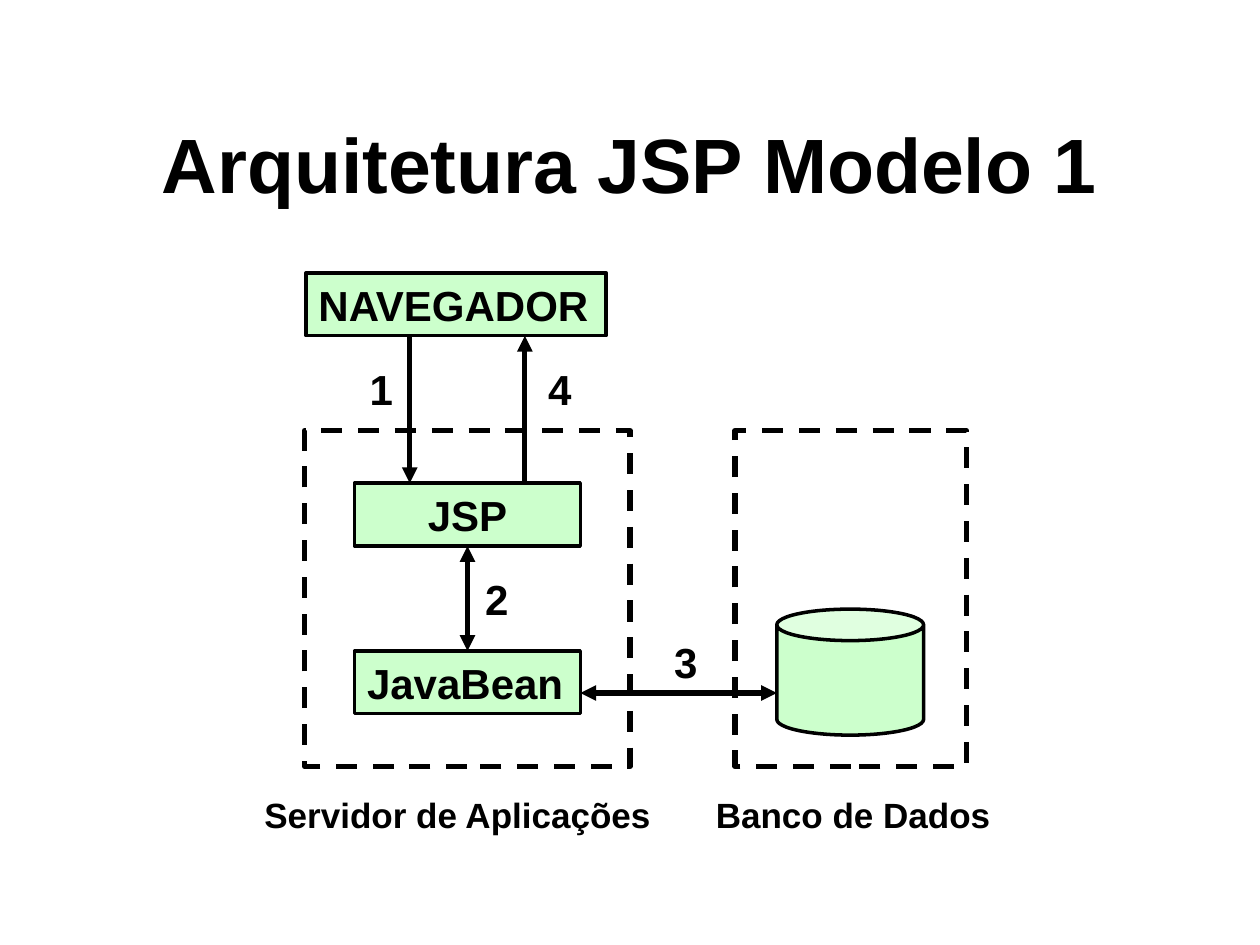
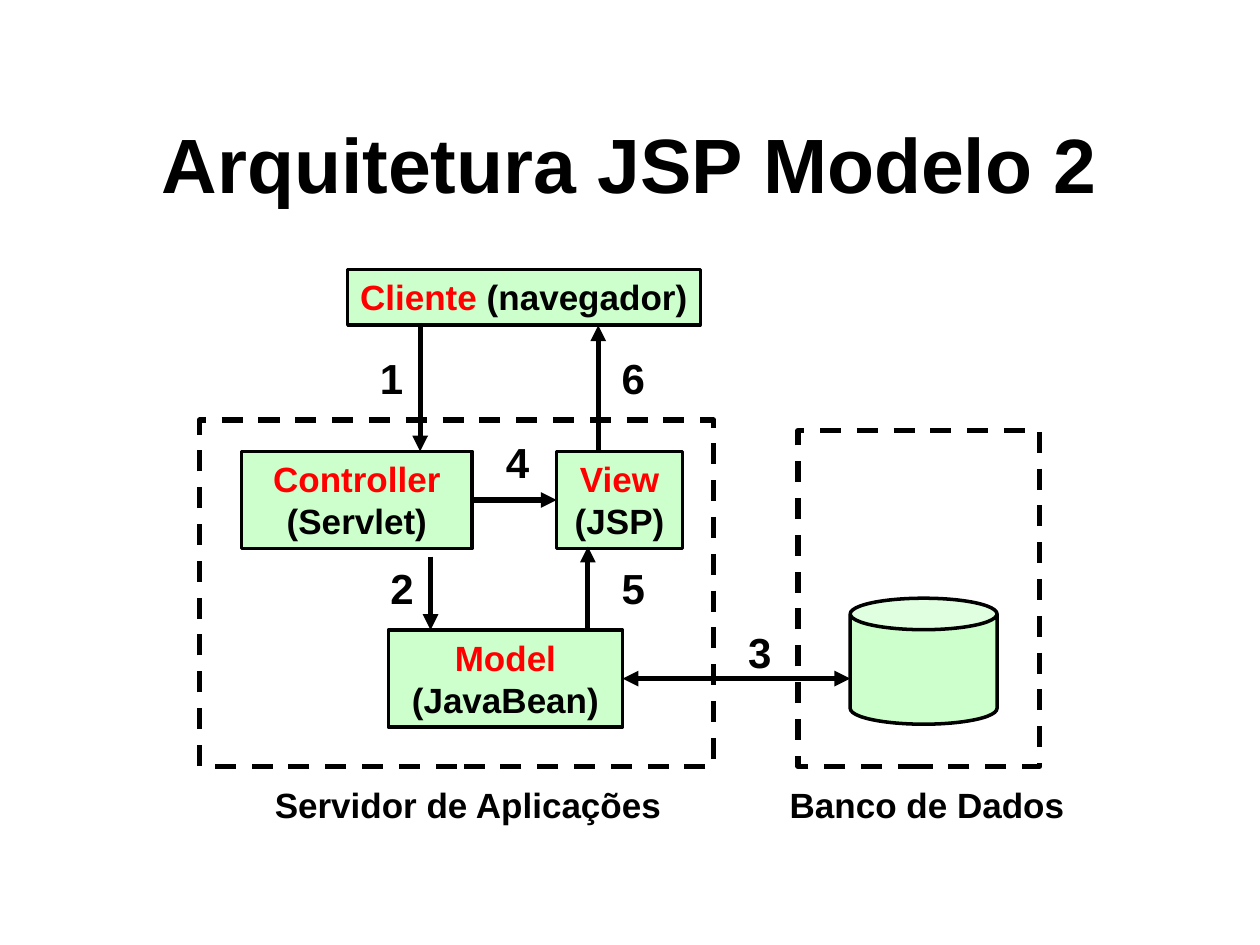
from dataclasses import dataclass
from typing import NamedTuple

from lxml.etree import SubElement
from pptx import Presentation
from pptx.dml.color import RGBColor
from pptx.enum.dml import MSO_LINE
from pptx.enum.shapes import MSO_CONNECTOR, MSO_SHAPE
from pptx.enum.text import MSO_ANCHOR, MSO_AUTO_SIZE, PP_ALIGN
from pptx.oxml.ns import qn
from pptx.util import Cm, Pt

COLORS = {"ink": "000000", "role": "FF0000", "box": "CCFFCC"}
FONT = {"name": "Arial", "bold": True}
FITTED = {"word_wrap": False, "auto_size": MSO_AUTO_SIZE.SHAPE_TO_FIT_TEXT}
CENTRED = {"word_wrap": True, "auto_size": MSO_AUTO_SIZE.NONE}
TITLE = {**CENTRED, "vertical_anchor": MSO_ANCHOR.MIDDLE}
TOP, LEFT, BOTTOM, RIGHT = range(4)


class Run(NamedTuple):
    text: str
    color: str = "ink"


class Area(NamedTuple):
    """Left, top, width and height in centimetres."""
    x: float
    y: float
    w: float
    h: float


class Spot(NamedTuple):
    x: float
    y: float


class Join(NamedTuple):
    """The middle of one side of a named box."""
    box: str
    side: int


class Label(NamedTuple):
    text: str
    area: Area
    size: int = 20


@dataclass
class Box:
    name: str
    area: Area
    rows: tuple
    size: int = 20
    fitted: bool = False


@dataclass
class Arrow:
    start: Spot | Join
    end: Spot | Join
    double: bool = False


@dataclass
class Model:
    title: str
    boxes: list
    store: Area
    zones: list
    labels: list
    arrows: list


def rgb(key: str) -> RGBColor:
    return RGBColor.from_string(COLORS[key])


def apply(target, values: dict) -> None:
    for name, value in values.items():
        setattr(target, name, value)


def step(num: int, x: float, y: float) -> Label:
    return Label(str(num), Area(x, y, 0.97, 1.27), 24)


def names(y: float, server: float, data: float) -> list:
    """Captions under the two dashed zones."""
    return [Label("Servidor de Aplicações", Area(server, y, 8.33, 1.12)),
            Label("Banco de Dados", Area(data, y, 6.05, 1.12))]


def part(role: str, kind: str, area: Area) -> Box:
    return Box(role, area, ((Run(role, "role"),), (Run(f"({kind})"),)))


def write(shape, rows: tuple, size: int, frame: dict) -> None:
    text = shape.text_frame
    apply(text, {"vertical_anchor": MSO_ANCHOR.TOP, **frame})
    for i, row in enumerate(rows):
        para = text.add_paragraph() if i else text.paragraphs[0]
        para.alignment = PP_ALIGN.CENTER if frame["word_wrap"] else PP_ALIGN.LEFT
        for item in row:
            run = para.add_run()
            run.text = item.text
            apply(run.font, {**FONT, "size": Pt(size)})
            run.font.color.rgb = rgb(item.color)


def put_text(slide, label: Label, frame: dict) -> None:
    box = slide.shapes.add_textbox(*map(Cm, label.area))
    write(box, ((Run(label.text),),), label.size, frame)


def put_shape(slide, kind: MSO_SHAPE, area: Area, dashed: bool = False):
    shape = slide.shapes.add_shape(kind, *map(Cm, area))
    shape.shadow.inherit = False
    shape.line.color.rgb = rgb("ink")
    if dashed:
        shape.fill.background()
        apply(shape.line, {"width": Pt(3), "dash_style": MSO_LINE.DASH})
    else:
        shape.fill.solid()
        shape.fill.fore_color.rgb = rgb("box")
        shape.line.width = Pt(2)
    return shape


def put_arrow(slide, arrow: Arrow, boxes: dict) -> None:
    ends = (arrow.start, arrow.end)
    spots = [Spot(0, 0) if isinstance(end, Join) else end for end in ends]
    line = slide.shapes.add_connector(
        MSO_CONNECTOR.STRAIGHT, *(Cm(v) for spot in spots for v in spot))
    for end, connect in zip(ends, (line.begin_connect, line.end_connect)):
        if isinstance(end, Join):
            connect(boxes[end.box], end.side)
    line.line.color.rgb = rgb("ink")
    line.line.width = Pt(3)
    stroke = line.line._get_or_add_ln()
    for tag in ("a:headEnd", "a:tailEnd")[not arrow.double:]:
        SubElement(stroke, qn(tag), type="triangle")
    SubElement(line._element.spPr, qn("a:effectLst"))


def draw(deck, model: Model) -> None:
    slide = deck.slides.add_slide(deck.slide_layouts[6])
    put_text(slide, Label(model.title, Area(1.9, 1.7, 21.6, 3.18), 44), TITLE)
    boxes = {}
    for box in model.boxes:
        shape = put_shape(slide, MSO_SHAPE.RECTANGLE, box.area)
        write(shape, box.rows, box.size, FITTED if box.fitted else CENTRED)
        boxes[box.name] = shape
    put_shape(slide, MSO_SHAPE.CAN, model.store)
    for zone in model.zones:
        put_shape(slide, MSO_SHAPE.RECTANGLE, zone, dashed=True)
    for label in model.labels:
        put_text(slide, label, FITTED)
    for arrow in model.arrows:
        put_arrow(slide, arrow, boxes)


MODELS = [
    Model(
        "Arquitetura JSP Modelo 1",
        boxes=[
            Box("browser", Area(6.17, 5.5, 6.05, 1.27), ((Run("NAVEGADOR"),),), 24, True),
            Box("page", Area(7.15, 9.74, 4.55, 1.27), ((Run("JSP"),),), 24),
            Box("bean", Area(7.15, 13.12, 4.55, 1.27), ((Run("JavaBean"),),), 24, True),
        ],
        store=Area(15.66, 12.28, 2.96, 2.54),
        zones=[Area(6.14, 8.68, 6.56, 6.77), Area(14.82, 8.68, 4.66, 6.77)],
        labels=names(15.88, 5.08, 14.18) + [
            step(1, 7.2, 7.2), step(4, 10.8, 7.2),
            step(2, 9.53, 11.43), step(3, 13.34, 12.7)],
        arrows=[
            Arrow(Spot(8.26, 6.77), Spot(8.26, 9.74)),
            Arrow(Spot(10.58, 9.74), Spot(10.58, 6.77)),
            Arrow(Join("page", BOTTOM), Join("bean", TOP), True),
            Arrow(Spot(11.7, 13.97), Spot(15.66, 13.97), True),
        ],
    ),
    Model(
        "Arquitetura JSP Modelo 2",
        boxes=[
            Box("client", Area(7.01, 5.43, 7.11, 1.12),
                ((Run("Cliente", "role"), Run(" (navegador)")),), fitted=True),
            part("Controller", "Servlet", Area(4.87, 9.1, 4.65, 1.96)),
            part("View", "JSP", Area(11.22, 9.1, 2.54, 1.96)),
            part("Model", "JavaBean", Area(7.83, 12.7, 4.72, 1.96)),
        ],
        store=Area(17.14, 12.06, 2.96, 2.54),
        zones=[Area(4.02, 8.47, 10.37, 6.98), Area(16.09, 8.68, 4.87, 6.77)],
        labels=names(15.67, 5.29, 15.67) + [
            step(1, 7.41, 6.98), step(6, 12.28, 6.98), step(5, 12.28, 11.22),
            step(4, 9.95, 8.68), step(2, 7.62, 11.22), step(3, 14.83, 12.5)],
        arrows=[
            Arrow(Spot(8.47, 6.56), Spot(8.47, 9.1)),
            Arrow(Spot(12.06, 9.1), Spot(12.06, 6.56)),
            Arrow(Join("Controller", RIGHT), Join("View", LEFT)),
            Arrow(Join("Model", RIGHT), Spot(17.14, 13.68), True),
            Arrow(Spot(11.85, 12.7), Spot(11.85, 11.02)),
            Arrow(Spot(8.68, 11.22), Spot(8.68, 12.7)),
        ],
    ),
]


def main() -> None:
    deck = Presentation()
    apply(deck, {"slide_width": Cm(25.4), "slide_height": Cm(19.05)})
    for model in MODELS:
        draw(deck, model)
    deck.save("out.pptx")


if __name__ == "__main__":
    main()
